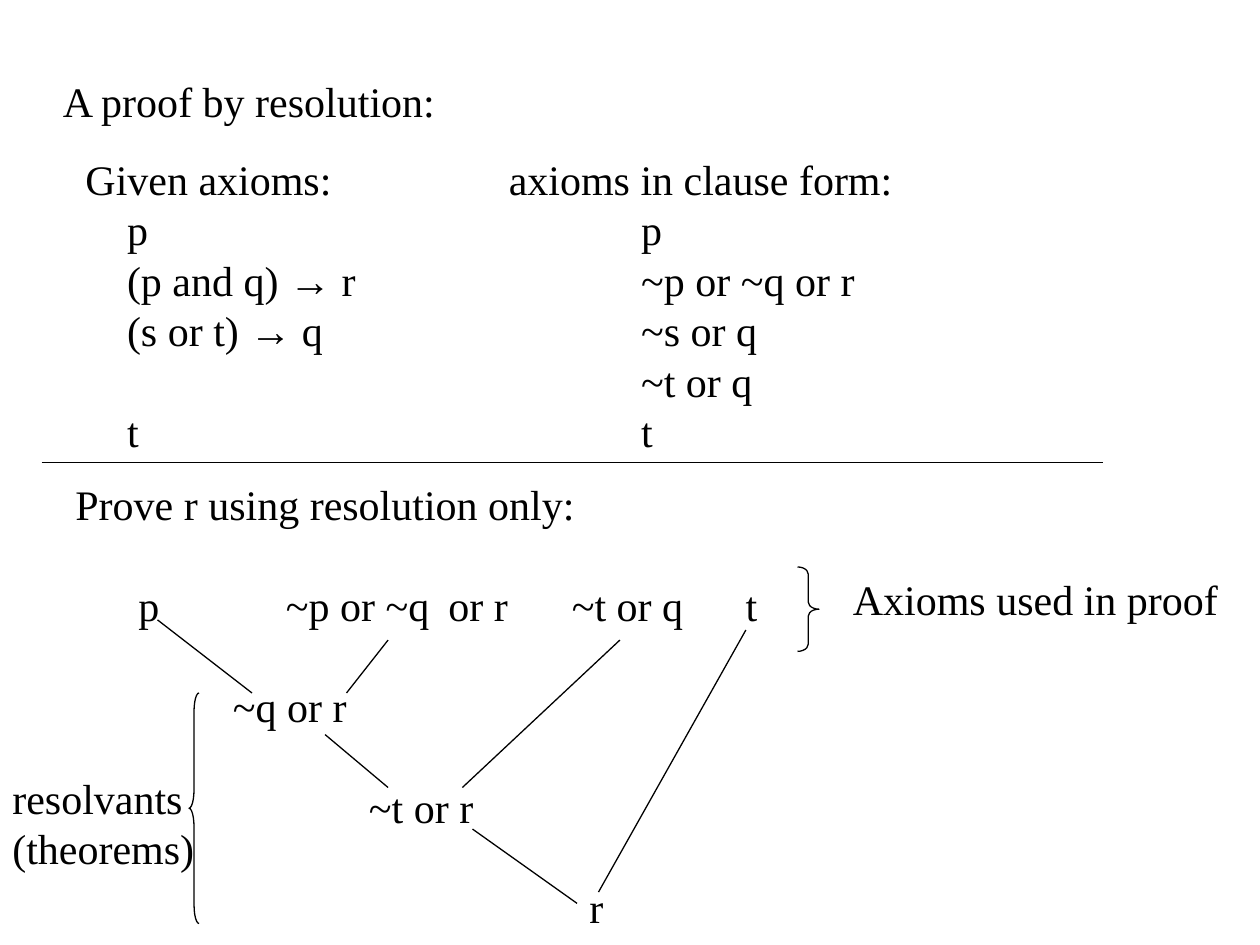
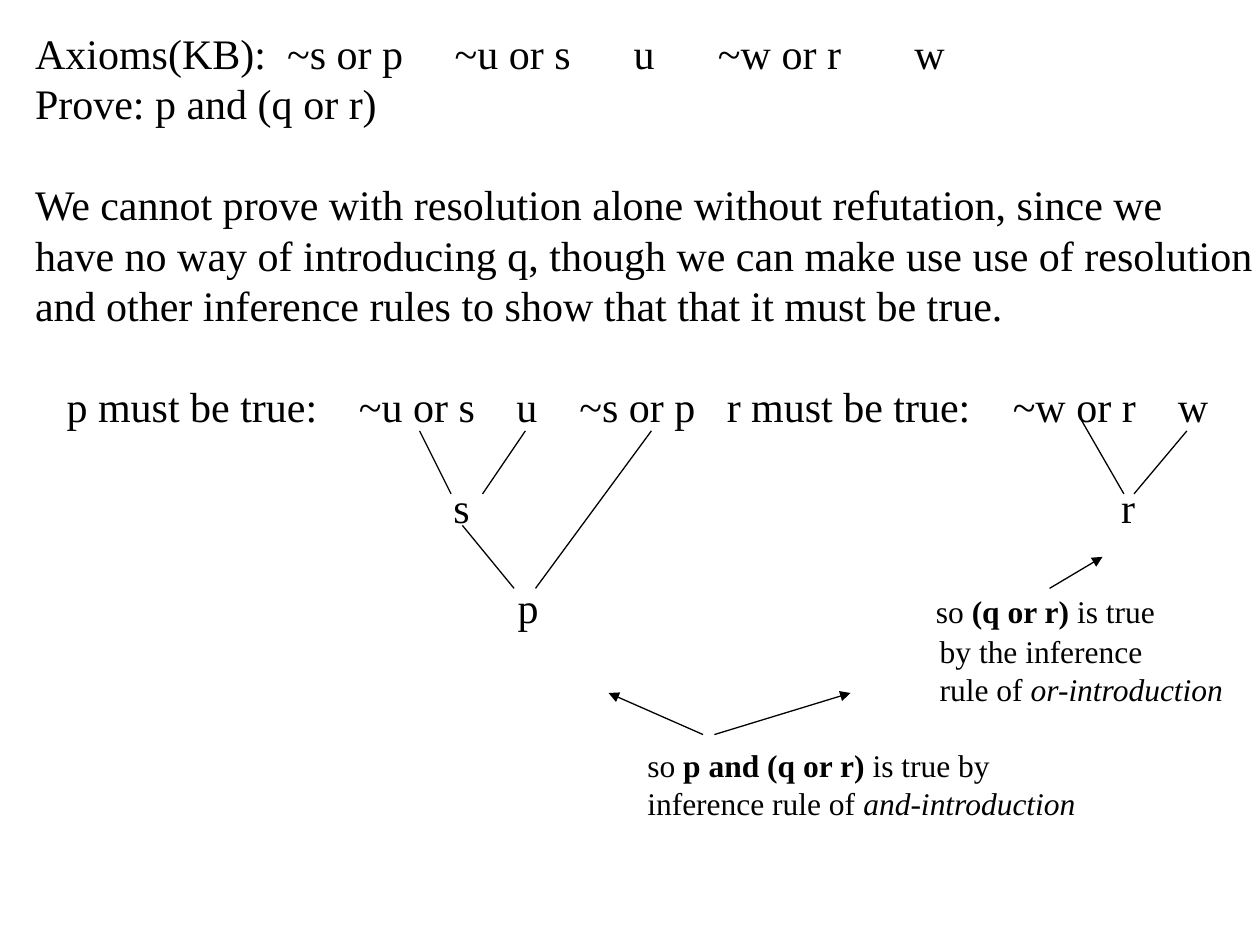
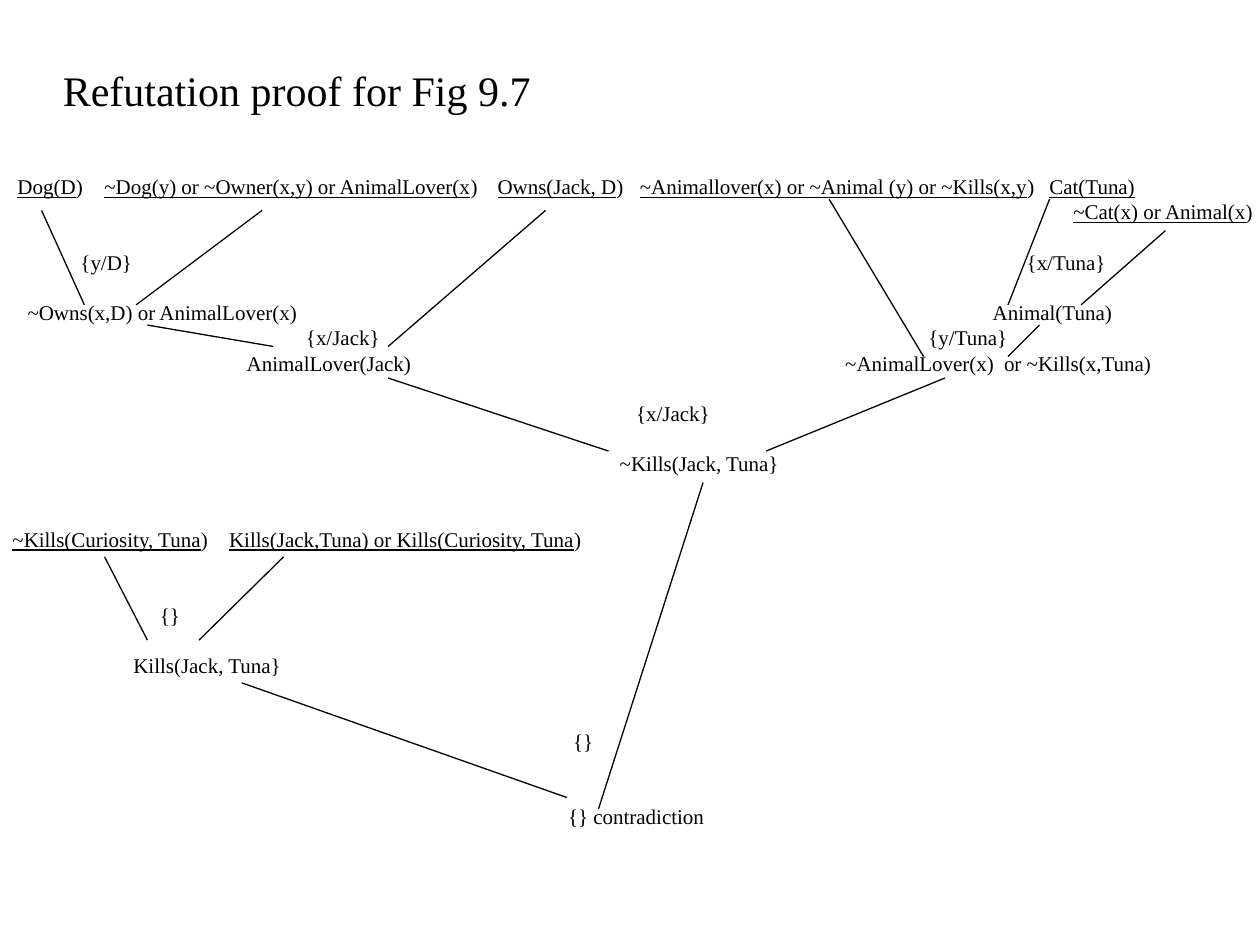
from pptx import Presentation
from pptx.dml.color import RGBColor
from pptx.enum.shapes import MSO_CONNECTOR, MSO_SHAPE
from pptx.oxml.ns import qn
from pptx.util import Inches, Pt
from lxml import etree

BLACK = RGBColor(0, 0, 0)
TEXT_FONT, ARROW_FONT = "Times New Roman", "Arial"
LARGE, MEDIUM, SMALL = 24, 18, 12
LINE_HEIGHT = 1.2               # line pitch as a multiple of the text size
INSET_X, INSET_Y = 0.1, 0.05
STRAIGHT = MSO_CONNECTOR.STRAIGHT
LEFT_BRACE, RIGHT_BRACE = MSO_SHAPE.LEFT_BRACE, MSO_SHAPE.RIGHT_BRACE

# A block is (left, top, width, height, rows).
# A row is (empty lines above, text size, cells...).
# A cell is (x on the slide, runs...); a run is a string or (string, styles).
IMPLIES = ("→", "arrow")
CLAUSE_X = 5.09

RESOLUTION = {
    "blocks": [
        (0.4, 0.55, 3.17, 0.5, [(0, LARGE, (0.5, "A proof by resolution:"))]),
        (0.58, 1.17, 6.61, 2.5, [
            (0, LARGE, (0.68, "Given axioms:"), (4.04, "axioms in clause form:")),
            (0, LARGE, (1.01, "p"), (CLAUSE_X, "p")),
            (0, LARGE, (1.01, "(p and q) ", IMPLIES, " r"), (CLAUSE_X, "~p or ~q or r")),
            (0, LARGE, (1.01, "(s or t) ", IMPLIES, " q"), (CLAUSE_X, "~s or q")),
            (0, LARGE, (CLAUSE_X, "~t or q")),
            (0, LARGE, (1.01, "t"), (CLAUSE_X, "t")),
        ]),
        (0.5, 3.75, 5.62, 3.7, [
            (0, LARGE, (0.6, "Prove r using resolution only:")),
            (1, LARGE, (1.1, "p"), (2.27, "~p or ~q"), (3.56, "or r"),
             (4.54, "~t or q"), (5.92, "t")),
            (1, LARGE, (1.85, "~q or r")),
            (1, LARGE, (2.93, "~t or r")),
            (1, LARGE, (4.68, "r")),
        ]),
        (6.67, 4.5, 3.1, 0.5, [(0, LARGE, (6.77, "Axioms used in proof"))]),
        (0, 6.08, 1.64, 0.9, [
            (0, LARGE, (0.1, "resolvants")),
            (0, LARGE, (0.1, "(theorems)")),
        ]),
    ],
    "lines": [
        (1.25, 4.92, 2, 5.5), (3.08, 5.08, 2.75, 5.5), (2.58, 5.83, 3.08, 6.25),
        (4.92, 5.08, 3.67, 6.25), (3.75, 6.58, 4.58, 7.17), (5.92, 5, 4.75, 7.08),
        (0.33, 3.67, 8.75, 3.67),
    ],
    # preset, left, top, width, height, curl
    "braces": [
        (RIGHT_BRACE, 6.33, 4.5, 0.17, 0.67, 0.33),
        (LEFT_BRACE, 1.5, 5.5, 0.08, 1.83, 1.83),
    ],
}

INFERENCE = {
    "blocks": [
        (0.18, 0.17, 9.86, 6.4, [
            (0, LARGE, (0.28, "Axioms(KB):"), (2.28, "~s or p"), (3.61, "~u or s"),
             (5.03, "u"), (5.7, "~w or r"), (7.26, "w")),
            (0, LARGE, (0.28, "Prove: p and (q or r)")),
            (1, LARGE, (0.28, "We cannot prove with resolution alone without refutation, since we")),
            (0, LARGE, (0.28, "have no way of introducing q, though we can make use use of resolution")),
            (0, LARGE, (0.28, "and other inference rules to show that that it must be true.")),
            (1, LARGE, (0.53, "p must be true:"), (2.85, "~u or s"), (4.1, "u"),
             (4.6, "~s or p"), (5.77, "r must be true:"), (8.04, "~w or r"), (9.35, "w")),
            (1, LARGE, (3.6, "s"), (8.9, "r")),
            (1, LARGE, (4.11, "p"), (7.43, ("so ", "medium"), ("(q or r)", "medium bold"),
                                     (" is true", "medium"))),
            (0, MEDIUM, (7.46, "by the inference")),
            (0, MEDIUM, (7.46, "rule of ", ("or-introduction", "italic"))),
            (1, MEDIUM, (5.14, "so ", ("p and (q or r)", "bold"), " is true by")),
            (0, MEDIUM, (5.14, "inference rule of ", ("and-introduction", "italic"))),
        ]),
    ],
    "lines": [
        (3.33, 3.42, 3.58, 3.92), (4.17, 3.42, 3.83, 3.92), (3.67, 4.17, 4.08, 4.67),
        (5.17, 3.42, 4.25, 4.67), (8.58, 3.33, 8.92, 3.92), (9.42, 3.42, 9, 3.92),
    ],
    "arrows": [
        (8.33, 4.67, 8.75, 4.42), (5.58, 5.83, 4.83, 5.5), (5.67, 5.83, 6.75, 5.5),
    ],
}


def literal(x, clause):
    """A given clause, underlined up to its closing bracket."""
    return x, (clause, "underline"), ")"


REFUTATION = {
    "blocks": [
        (0.4, 0.46, 3.91, 0.5, [(0, LARGE, (0.5, "Refutation proof for Fig 9.7"))]),
        (0, 1.33, 10.05, 5.3, [
            (0, SMALL, literal(0.14, "Dog(D"),
             literal(0.83, "~Dog(y) or ~Owner(x,y) or AnimalLover(x"),
             literal(3.95, "Owns(Jack, D"),
             literal(5.08, "~Animallover(x) or ~Animal (y) or ~Kills(x,y"),
             (8.33, ("Cat(Tuna)", "underline"))),
            (0, SMALL, literal(8.52, "~Cat(x) or Animal(x")),
            (1, SMALL, (0.64, "{y/D}"), (8.15, "{x/Tuna}")),
            (1, SMALL, (0.22, "~Owns(x,D) or AnimalLover(x)"), (7.88, "Animal(Tuna)")),
            (0, SMALL, (2.43, "{x/Jack}"), (7.37, "{y/Tuna}")),
            (0, SMALL, (1.96, "AnimalLover(Jack)"), (6.71, "~AnimalLover(x)"),
             (7.97, "or ~Kills(x,Tuna)")),
            (1, SMALL, (5.05, "{x/Jack}")),
            (1, SMALL, (4.92, "~Kills(Jack, Tuna}")),
            (2, SMALL, literal(0.1, "~Kills(Curiosity, Tuna"),
             literal(1.82, "Kills(Jack,Tuna) or Kills(Curiosity, Tuna")),
            (2, SMALL, (1.27, "{}")),
            (1, SMALL, (1.06, "Kills(Jack, Tuna}")),
            (2, SMALL, (4.55, "{}")),
            (2, SMALL, (4.51, "{} contradiction")),
        ]),
    ],
    "lines": [
        (0.33, 1.67, 0.67, 2.42), (2.08, 1.67, 1.08, 2.42), (1.17, 2.58, 2.17, 2.75),
        (4.33, 1.67, 3.08, 2.75), (8.33, 1.58, 8, 2.42), (9.25, 1.83, 8.58, 2.42),
        (6.58, 1.58, 7.33, 2.83), (8.25, 2.58, 8, 2.83), (3.08, 3, 4.83, 3.58),
        (7.5, 3, 6.08, 3.58), (0.83, 4.42, 1.17, 5.08), (2.25, 4.42, 1.58, 5.08),
        (1.92, 5.42, 4.5, 6.33), (5.58, 3.83, 4.75, 6.42),
    ],
}


def add_run(paragraph, text, size, styles=""):
    run = paragraph.add_run()
    run.text = text
    font = run.font
    font.name = ARROW_FONT if "arrow" in styles else TEXT_FONT
    font.size = Pt(MEDIUM if "medium" in styles else size)
    font.color.rgb = BLACK
    font.bold = "bold" in styles
    font.italic = "italic" in styles
    font.underline = "underline" in styles


def add_row(paragraph, text_left, empty_lines, size, cells):
    pitch = LINE_HEIGHT * size
    paragraph.line_spacing = Pt(pitch)
    paragraph.space_before = Pt(empty_lines * pitch)
    # One tab stop for each cell that starts right of the text edge
    tab_stops = etree.SubElement(paragraph._p.get_or_add_pPr(), qn("a:tabLst"))
    for x, *runs in cells:
        offset = Inches(round(x - text_left, 2))
        if offset > 0:
            etree.SubElement(tab_stops, qn("a:tab"), pos=str(offset), algn="l")
            add_run(paragraph, "\t", size)
        for run in runs:
            text, styles = (run, "") if isinstance(run, str) else run
            add_run(paragraph, text, size, styles)


def add_block(slide, left, top, width, height, rows):
    box = slide.shapes.add_textbox(*map(Inches, (left, top, width, height)))
    frame = box.text_frame
    frame.word_wrap = True
    frame.margin_left, frame.margin_right = Inches(INSET_X), 0
    frame.margin_top = frame.margin_bottom = Inches(INSET_Y)
    for index, (empty_lines, size, *cells) in enumerate(rows):
        paragraph = frame.add_paragraph() if index else frame.paragraphs[0]
        add_row(paragraph, left + INSET_X, empty_lines, size, cells)


def set_outline(shape):
    shape.line.color.rgb = BLACK
    shape.line.width = Pt(0.75)


def add_line(slide, ends, arrow=False):
    connector = slide.shapes.add_connector(STRAIGHT, *map(Inches, ends))
    set_outline(connector)
    if arrow:
        etree.SubElement(connector.line._get_or_add_ln(), qn("a:tailEnd"), type="triangle")
    etree.SubElement(connector._element.spPr, qn("a:effectLst"))


def add_brace(slide, preset, left, top, width, height, curl):
    brace = slide.shapes.add_shape(preset, *map(Inches, (left, top, width, height)))
    brace.adjustments[0] = curl
    brace.shadow.inherit = False
    brace.fill.background()
    set_outline(brace)


def main():
    deck = Presentation()
    deck.slide_width, deck.slide_height = Inches(10), Inches(7.5)
    for content in (RESOLUTION, INFERENCE, REFUTATION):
        slide = deck.slides.add_slide(deck.slide_layouts[6])
        for block in content["blocks"]:
            add_block(slide, *block)
        for ends in content["lines"]:
            add_line(slide, ends)
        for ends in content.get("arrows", []):
            add_line(slide, ends, arrow=True)
        for brace in content.get("braces", []):
            add_brace(slide, *brace)
    deck.save("out.pptx")


if __name__ == "__main__":
    main()
